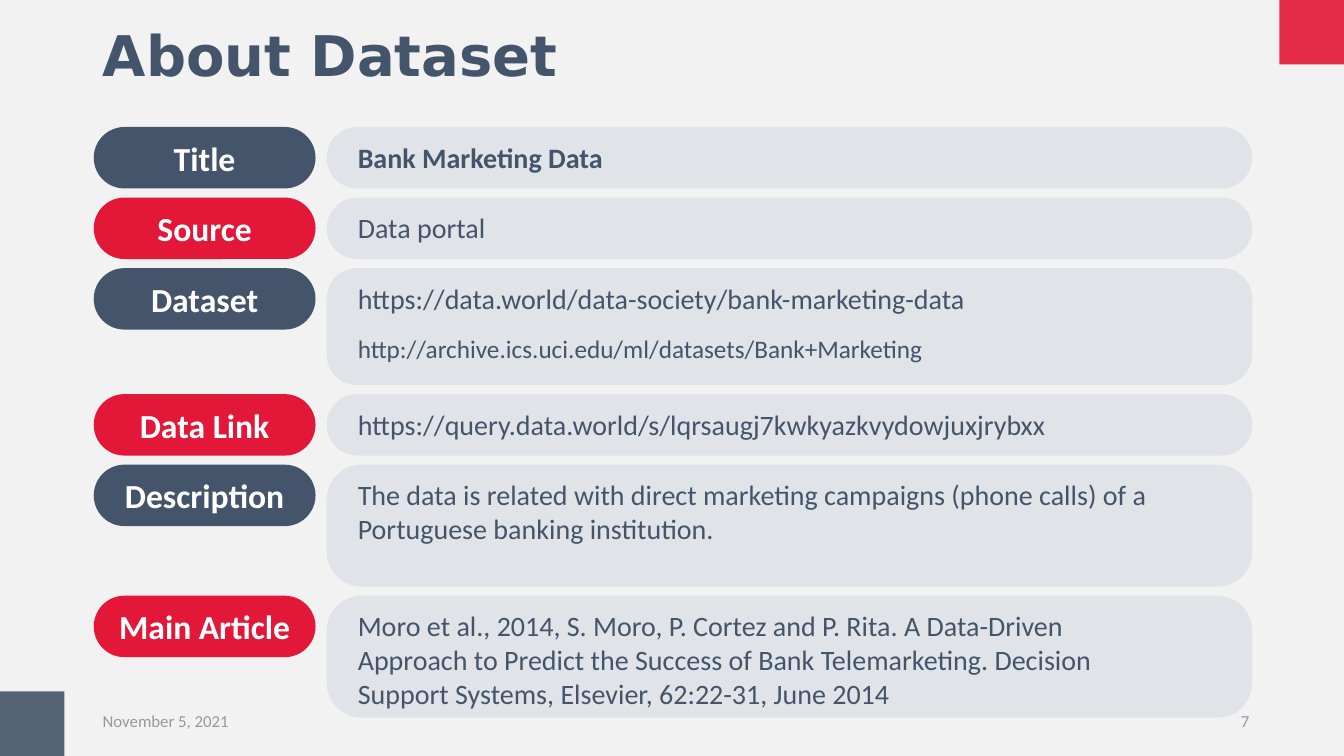
from lxml.etree import SubElement
from pptx import Presentation
from pptx.dml.color import RGBColor
from pptx.enum.shapes import MSO_SHAPE
from pptx.enum.text import MSO_ANCHOR, MSO_AUTO_SIZE, PP_ALIGN
from pptx.oxml.ns import qn
from pptx.util import Inches, Pt

WIDTH, HEIGHT = 13.33, 7.5
PAPER = RGBColor(0xF2, 0xF2, 0xF2)
NAVY = RGBColor(0x44, 0x54, 0x6A)
RED = RGBColor(0xE3, 0x17, 0x37)
MIST = RGBColor(0xAD, 0xB9, 0xCA)
WHITE = RGBColor(0xFF, 0xFF, 0xFF)
GREY = RGBColor(0x94, 0x99, 0xA1)

# Grid: a column of labels, a column of panels, rows stacked with equal gaps
LABEL_LEFT, LABEL_WIDTH = 0.93, 2.2
PANEL_LEFT, PANEL_WIDTH = 3.24, 9.18
DETAIL_LEFT, DETAIL_WIDTH = 3.45, 8.11
FIRST_ROW, ROW, ROW_GAP, DETAIL_INSET = 1.26, 0.61, 0.09, 0.08
MARGIN, FOOTER_TOP, FOOTER_WIDTH, FOOTER_HEIGHT = 0.92, 6.95, 3, 0.4
CORNER = 0.64

HEADING = {"name": "DejaVu Sans", "size": Pt(40), "bold": True}
LABEL = {"name": "Calibri", "size": Pt(24), "bold": True}
DETAIL = {"name": "Calibri", "size": Pt(20)}
STRONG = {**DETAIL, "bold": True}
SMALL_LINK = {"name": "Calibri", "size": Pt(18)}
FOOTER = {"name": "Calibri", "size": Pt(12)}

# label, panel height, corner rounding, lines of detail with their format
ROWS = [
    ("Title", ROW, 0.5, [("Bank Marketing Data", STRONG)]),
    ("Source", ROW, 0.5, [("Data portal", DETAIL)]),
    ("Dataset", 1.16, 0.26, [
        ("https://data.world/data-society/bank-marketing-data", DETAIL),
        ("http://archive.ics.uci.edu/ml/datasets/Bank+Marketing", SMALL_LINK)]),
    ("Data Link", ROW, 0.5, [
        ("https://query.data.world/s/lqrsaugj7kwkyazkvydowjuxjrybxx", DETAIL)]),
    ("Description", 1.21, 0.286, [
        ("The data is related with direct marketing campaigns (phone calls) "
         "of a Portuguese banking institution.", DETAIL)]),
    ("Main Article", 1.21, 0.286, [
        ("Moro et al., 2014, S. Moro, P. Cortez and P. Rita. A Data-Driven "
         "Approach to Predict the Success of Bank Telemarketing. Decision "
         "Support Systems, Elsevier, 62:22-31, June 2014", DETAIL)]),
]


def box(left, top, width, height):
    return [Inches(length) for length in (left, top, width, height)]


def write(paragraph, text, style, color):
    paragraph.text = text
    for attribute, value in style.items():
        setattr(paragraph.font, attribute, value)
    paragraph.font.color.rgb = color


def add_block(slide, kind, place, color, opacity=100):
    """Add a flat, borderless shape; opacity is in percent."""
    block = slide.shapes.add_shape(kind, *box(*place))
    block.shadow.inherit = False
    block.line.fill.background()
    block.fill.solid()
    block.fill.fore_color.rgb = color
    if opacity < 100:
        tint = block.fill._xPr.find(f".//{qn('a:srgbClr')}")
        SubElement(tint, qn("a:alpha"), val=str(opacity * 1000))
    return block


def add_label(slide, top, text, color):
    pill = add_block(slide, MSO_SHAPE.ROUNDED_RECTANGLE,
                     (LABEL_LEFT, top, LABEL_WIDTH, ROW), color)
    pill.adjustments[0] = 0.5
    frame = pill.text_frame
    frame.vertical_anchor = MSO_ANCHOR.MIDDLE
    frame.paragraphs[0].alignment = PP_ALIGN.CENTER
    write(frame.paragraphs[0], text, LABEL, WHITE)


def add_panel(slide, top, height, rounding, lines):
    panel = add_block(slide, MSO_SHAPE.ROUNDED_RECTANGLE,
                      (PANEL_LEFT, top, PANEL_WIDTH, height), MIST, 25)
    panel.adjustments[0] = rounding
    detail = slide.shapes.add_textbox(*box(
        DETAIL_LEFT, top + DETAIL_INSET, DETAIL_WIDTH, height - 2 * DETAIL_INSET))
    frame = detail.text_frame
    frame.word_wrap = True
    frame.auto_size = MSO_AUTO_SIZE.SHAPE_TO_FIT_TEXT
    for index, (text, style) in enumerate(lines):
        paragraph = frame.add_paragraph() if index else frame.paragraphs[0]
        if index:
            paragraph.space_before = Pt(13)
        write(paragraph, text, style, NAVY)


def add_footer(slide, left, text, alignment):
    footer = slide.shapes.add_textbox(*box(left, FOOTER_TOP, FOOTER_WIDTH, FOOTER_HEIGHT))
    frame = footer.text_frame
    frame.word_wrap = True
    frame.vertical_anchor = MSO_ANCHOR.MIDDLE
    frame.paragraphs[0].alignment = alignment
    write(frame.paragraphs[0], text, FOOTER, GREY)


def set_title(slide, text):
    title = slide.shapes.title
    title.left, title.top, title.width, title.height = box(MARGIN, 0.15, 11.5, 0.85)
    frame = title.text_frame
    frame.vertical_anchor = MSO_ANCHOR.MIDDLE
    heading = frame.paragraphs[0]
    heading.alignment = PP_ALIGN.LEFT
    heading.line_spacing = 0.9
    write(heading, text, HEADING, NAVY)


def main():
    deck = Presentation()
    deck.slide_width, deck.slide_height = Inches(WIDTH), Inches(HEIGHT)
    slide = deck.slides.add_slide(deck.slide_layouts.get_by_name("Title Only"))
    slide.background.fill.solid()
    slide.background.fill.fore_color.rgb = PAPER

    add_block(slide, MSO_SHAPE.RECTANGLE, (WIDTH - CORNER, 0, CORNER, CORNER), RED, 90)
    add_block(slide, MSO_SHAPE.RECTANGLE, (0, HEIGHT - CORNER, CORNER, CORNER), NAVY, 90)
    set_title(slide, "About Dataset")

    top = FIRST_ROW
    for index, (label, height, rounding, lines) in enumerate(ROWS):
        add_label(slide, top, label, RED if index % 2 else NAVY)
        add_panel(slide, top, height, rounding, lines)
        top += height + ROW_GAP

    add_footer(slide, MARGIN, "November 5, 2021", PP_ALIGN.LEFT)
    add_footer(slide, 9.49, "7", PP_ALIGN.RIGHT)
    deck.save("out.pptx")


if __name__ == "__main__":
    main()
